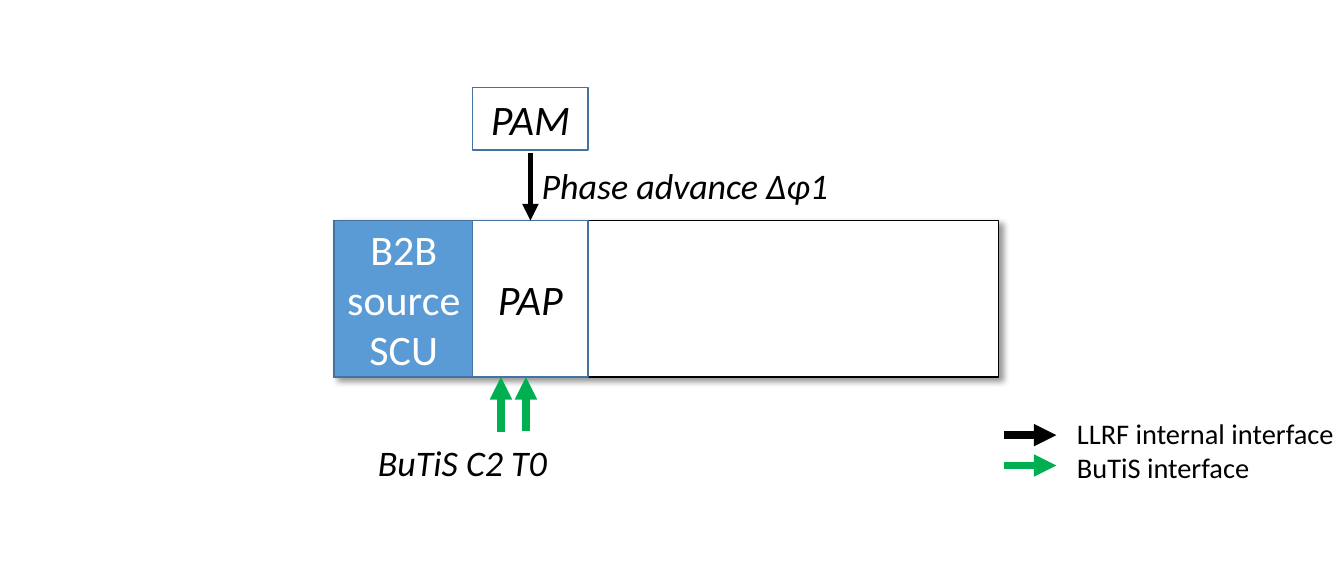
from dataclasses import dataclass

from lxml import etree
from pptx import Presentation
from pptx.dml.color import RGBColor
from pptx.enum.shapes import MSO_CONNECTOR, MSO_SHAPE
from pptx.enum.text import MSO_ANCHOR, MSO_AUTO_SIZE, PP_ALIGN
from pptx.oxml import parse_xml
from pptx.oxml.ns import nsdecls, qn
from pptx.shapes.autoshape import Shape
from pptx.shapes.connector import Connector
from pptx.slide import Slide
from pptx.text.text import TextFrame
from pptx.util import Cm, Pt

BLACK = RGBColor(0x00, 0x00, 0x00)
WHITE = RGBColor(0xFF, 0xFF, 0xFF)
BLUE = RGBColor(0x5B, 0x9B, 0xD5)
DARK_BLUE = RGBColor(0x43, 0x73, 0x9E)
GREEN = RGBColor(0x00, 0xB0, 0x50)

RECTANGLE = MSO_SHAPE.RECTANGLE
STRAIGHT = MSO_CONNECTOR.STRAIGHT
MIDDLE = MSO_ANCHOR.MIDDLE
TOP = MSO_ANCHOR.TOP
CENTER = PP_ALIGN.CENTER
LEFT = PP_ALIGN.LEFT
FIT_TEXT = MSO_AUTO_SIZE.SHAPE_TO_FIT_TEXT

TOP_SITE = 0
BOX_SIZE = 26.6
LABEL_SIZE = 22.8
LEGEND_SIZE = 18

CHAIN_LEFT = 7.47
CHAIN_TOP = 4.93
CHAIN_HEIGHT = 3.5
CHAIN_BOTTOM = CHAIN_TOP + CHAIN_HEIGHT
PAP_LEFT = 10.57
PAP_WIDTH = 2.58
PAP_CENTER = PAP_LEFT + PAP_WIDTH / 2
LEGEND_LEFT = 22.45
LEGEND_RIGHT = 23.62

SHADOW_XML = (
    f'<a:effectLst {nsdecls("a")}>'
    '<a:outerShdw blurRad="50800" dist="38100" dir="2700000" algn="tl" rotWithShape="0">'
    '<a:srgbClr val="000000"><a:alpha val="40000"/></a:srgbClr>'
    '</a:outerShdw></a:effectLst>'
)


@dataclass
class Box:
    left: float
    top: float
    width: float
    height: float
    lines: tuple[str, ...] = ()
    fill: RGBColor = WHITE
    border: RGBColor = DARK_BLUE
    text_color: RGBColor = BLACK
    italic: bool = True


@dataclass
class Label:
    left: float
    top: float
    width: float
    height: float
    lines: tuple[str, ...]
    size: float = LABEL_SIZE
    italic: bool = True


@dataclass
class Arrow:
    start: tuple[float, float]
    end: tuple[float, float]
    color: RGBColor
    width: float = 4.75


CHAIN = Box(CHAIN_LEFT, CHAIN_TOP, 14.86, CHAIN_HEIGHT, border=BLACK)
SCU = Box(CHAIN_LEFT, CHAIN_TOP, 3.12, CHAIN_HEIGHT, ("B2B", "source SCU"),
          fill=BLUE, text_color=WHITE, italic=False)
PAP = Box(PAP_LEFT, CHAIN_TOP, PAP_WIDTH, CHAIN_HEIGHT, ("PAP",))
PAM = Box(PAP_LEFT, 1.96, PAP_WIDTH, 1.4, ("PAM",))

PHASE_ARROW = Arrow((PAP_CENTER, 3.43), (PAP_CENTER, CHAIN_TOP), BLACK, 3.5)
ARROWS = (
    Arrow((11.2, 9.65), (11.2, CHAIN_BOTTOM), GREEN),
    Arrow((11.76, 9.63), (11.76, CHAIN_BOTTOM), GREEN),
    Arrow((LEGEND_LEFT, 10.41), (LEGEND_RIGHT, 10.41), GREEN),
    Arrow((LEGEND_LEFT, 9.73), (LEGEND_RIGHT, 9.73), BLACK),
)
LABELS = (
    Label(8.2, 9.73, 8.76, 1.22, ("BuTiS C2 T0",)),
    Label(11.86, 3.53, 7.42, 1.22, ("Phase advance ∆φ1",)),
    Label(23.83, 9.17, 7.7, 1.78, ("LLRF internal interface", "BuTiS interface"),
          size=LEGEND_SIZE, italic=False),
)


def write_lines(frame: TextFrame, lines: tuple[str, ...], alignment: PP_ALIGN,
                color: RGBColor, font_format: dict[str, object]) -> None:
    for index, line in enumerate(lines):
        paragraph = frame.paragraphs[0] if index == 0 else frame.add_paragraph()
        paragraph.alignment = alignment
        run = paragraph.add_run()
        run.text = line
        for name, value in font_format.items():
            setattr(run.font, name, value)
        run.font.color.rgb = color


def add_box(slide: Slide, box: Box) -> Shape:
    shape = slide.shapes.add_shape(
        RECTANGLE, Cm(box.left), Cm(box.top), Cm(box.width), Cm(box.height))
    shape.shadow.inherit = False
    shape.fill.solid()
    shape.fill.fore_color.rgb = box.fill
    shape.line.color.rgb = box.border
    shape.line.width = Pt(1)
    frame = shape.text_frame
    frame.word_wrap = True
    frame.vertical_anchor = MIDDLE
    font_format = {"name": "Calibri", "size": Pt(BOX_SIZE), "italic": box.italic}
    write_lines(frame, box.lines, CENTER, box.text_color, font_format)
    return shape


def add_shadow(shape: Shape) -> None:
    properties = shape.element.spPr
    properties.replace(properties.find(qn("a:effectLst")), parse_xml(SHADOW_XML))


def add_label(slide: Slide, label: Label) -> None:
    text_box = slide.shapes.add_textbox(
        Cm(label.left), Cm(label.top), Cm(label.width), Cm(label.height))
    frame = text_box.text_frame
    frame_format = {"word_wrap": True, "auto_size": FIT_TEXT, "vertical_anchor": TOP}
    for name, value in frame_format.items():
        setattr(frame, name, value)
    font_format = {"name": "Calibri", "size": Pt(label.size), "italic": label.italic}
    write_lines(frame, label.lines, LEFT, BLACK, font_format)


def add_arrow(slide: Slide, arrow: Arrow) -> Connector:
    connector = slide.shapes.add_connector(
        STRAIGHT, *(Cm(value) for value in arrow.start + arrow.end))
    connector.line.color.rgb = arrow.color
    connector.line.width = Pt(arrow.width)
    etree.SubElement(connector.line._get_or_add_ln(), qn("a:tailEnd"), type="triangle")
    etree.SubElement(connector.element.spPr, qn("a:effectLst"))
    return connector


def main() -> None:
    presentation = Presentation()
    presentation.slide_width = Cm(30.05)
    presentation.slide_height = Cm(12.88)
    slide = presentation.slides.add_slide(presentation.slide_layouts[6])

    add_shadow(add_box(slide, CHAIN))
    add_box(slide, SCU)
    pap_shape = add_box(slide, PAP)
    add_box(slide, PAM)
    for arrow in ARROWS:
        add_arrow(slide, arrow)
    add_arrow(slide, PHASE_ARROW).end_connect(pap_shape, TOP_SITE)
    for label in LABELS:
        add_label(slide, label)

    presentation.save("out.pptx")


if __name__ == "__main__":
    main()
